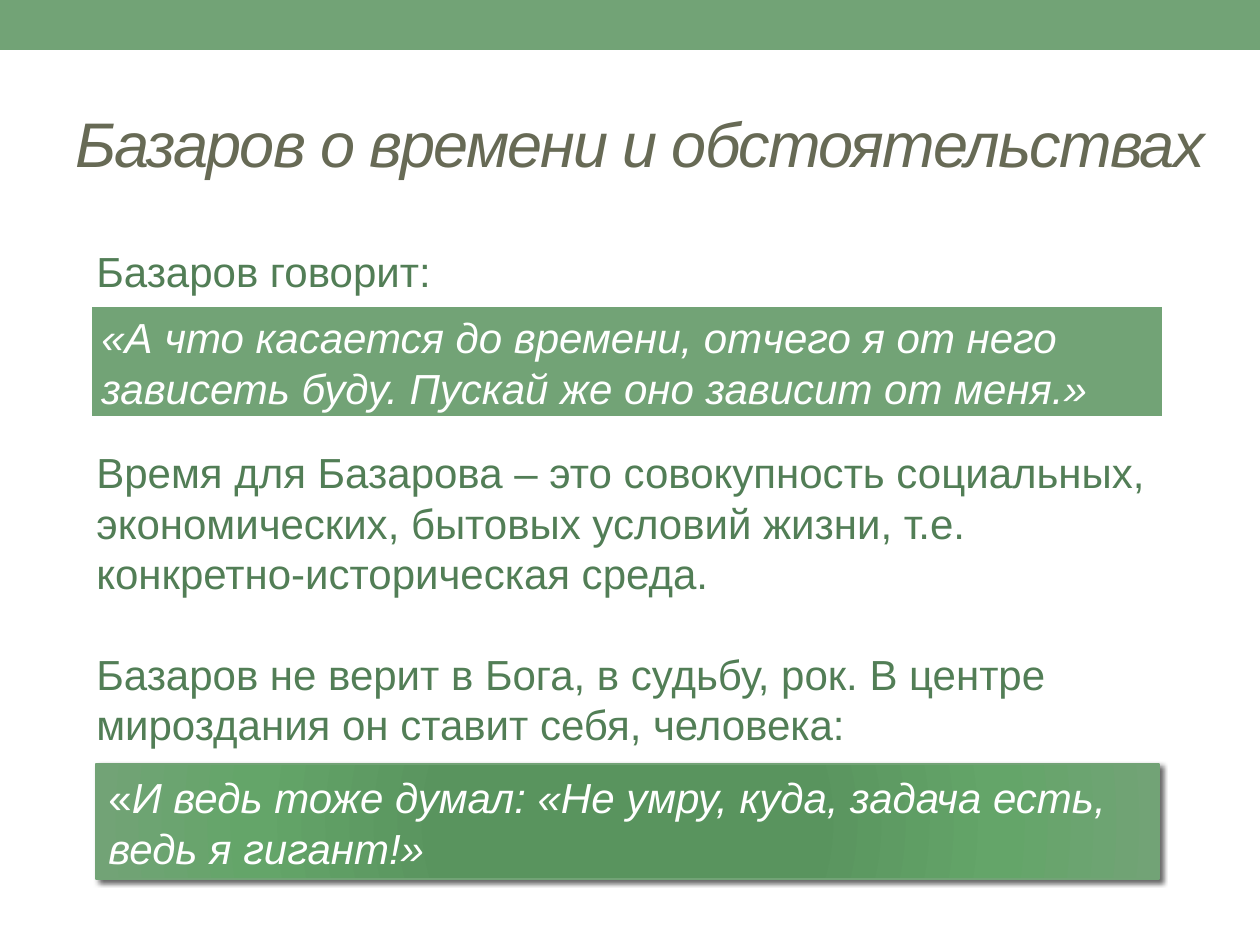
from lxml.etree import fromstring
from pptx import Presentation
from pptx.dml.color import RGBColor
from pptx.enum.shapes import MSO_SHAPE
from pptx.enum.text import MSO_ANCHOR, PP_ALIGN
from pptx.oxml.ns import nsdecls, qn
from pptx.util import Emu, Pt

GREEN, DARK, OLIVE, WHITE = "72A376", "527E56", "676A55", "FFFFFF"
LINE = 28.8  # pitch of the 24 pt text, in points

# Boxes: left, top, width, height in px
BAND = (0, 0, 1260, 50)
TITLE = (63, 73, 1162, 136)
BODY = (84, 237, 1081, 522)
TIME = (89, 304, 1076, 115)
GIANT = (96, 764, 1063, 115)

# Paragraphs: lines of space before, then runs of (text, italic)
TITLE_TEXT = [(0, [("Базаров о времени и обстоятельствах", True)])]
BODY_TEXT = [
    (0, [("Базаров говорит:\u00a0", False)]),
    (3, [("Время для Базарова – это совокупность социальных, экономических, "
          "бытовых условий жизни, т.е. конкретно-историческая среда.", False)]),
    (1, [("Базаров не верит в Бога, в судьбу, рок. В центре мироздания "
          "он ставит себя, человека:", False)]),
]
TIME_TEXT = [(0, [("«А что касается до времени, отчего я от него зависеть буду. "
                   "Пускай же оно зависит от меня.»", True)])]
GIANT_TEXT = [(0, [("«", False),
                   ("И ведь тоже думал: «Не умру, куда, задача есть, "
                    "ведь я гигант!»", True)])]

STOPS = [(0, "57965C"), (34, "59945E"), (70, "64A569"), (100, GREEN)]


def px(n):
    return Emu(round(n * 914400 / 126))


def rgb(code):
    return RGBColor.from_string(code)


def write(shape, paras, color, size=24, pitch=LINE, anchor=MSO_ANCHOR.TOP):
    frame = shape.text_frame
    look = {"word_wrap": True, "vertical_anchor": anchor, "margin_top": px(8)}
    for key, value in look.items():
        setattr(frame, key, value)
    for i, (gap, runs) in enumerate(paras):
        para = frame.add_paragraph() if i else frame.paragraphs[0]
        para.alignment = PP_ALIGN.LEFT
        para.space_before = Pt(gap * LINE)
        if pitch:
            para.line_spacing = Pt(pitch)
        for text, slant in runs:
            run = para.add_run()
            run.text = text
            style = {"name": "Arial", "size": Pt(size), "italic": slant}
            for key, value in style.items():
                setattr(run.font, key, value)
            run.font.color.rgb = rgb(color)


def block(slide, box, edge=None, width=0):
    shape = slide.shapes.add_shape(MSO_SHAPE.RECTANGLE, *map(px, box))
    shape.shadow.inherit = False
    shape.fill.solid()
    shape.fill.fore_color.rgb = rgb(GREEN)
    if edge:
        shape.line.color.rgb = rgb(edge)
        shape.line.width = Pt(width)
    else:
        shape.line.fill.background()
    return shape


def shade(shape):
    """Give the shape a radial gradient and a soft shadow."""
    stops = "".join(f'<a:gs pos="{pos * 1000}"><a:srgbClr val="{code}"/></a:gs>'
                    for pos, code in STOPS)
    grad = fromstring(
        f'<a:gradFill {nsdecls("a")} rotWithShape="1"><a:gsLst>{stops}</a:gsLst>'
        '<a:path path="circle"><a:fillToRect l="100000" t="100000" r="100000" '
        'b="100000"/></a:path></a:gradFill>')
    props = shape.element.spPr
    props.replace(props.find(qn("a:solidFill")), grad)
    props.find(qn("a:effectLst")).append(fromstring(
        f'<a:outerShdw {nsdecls("a")} blurRad="{Pt(3)}" dist="{Pt(2)}" '
        'dir="2700000" algn="tl" rotWithShape="0"><a:srgbClr val="000000">'
        '<a:alpha val="60000"/></a:srgbClr></a:outerShdw>'))


def main():
    deck = Presentation()
    deck.slide_width, deck.slide_height = px(1260), px(945)
    slide = deck.slides.add_slide(deck.slide_layouts[6])

    block(slide, BAND)
    title = slide.shapes.add_textbox(*map(px, TITLE))
    write(title, TITLE_TEXT, OLIVE, 36, None, MSO_ANCHOR.MIDDLE)
    for run in title.text_frame.paragraphs[0].runs:
        run.font._element.set("spc", "-100")

    write(slide.shapes.add_textbox(*map(px, BODY)), BODY_TEXT, DARK)
    giant = block(slide, GIANT, GREEN, 0.75)
    shade(giant)
    write(giant, GIANT_TEXT, WHITE)
    write(block(slide, TIME, WHITE, 3.5), TIME_TEXT, WHITE)
    deck.save("out.pptx")


if __name__ == "__main__":
    main()
